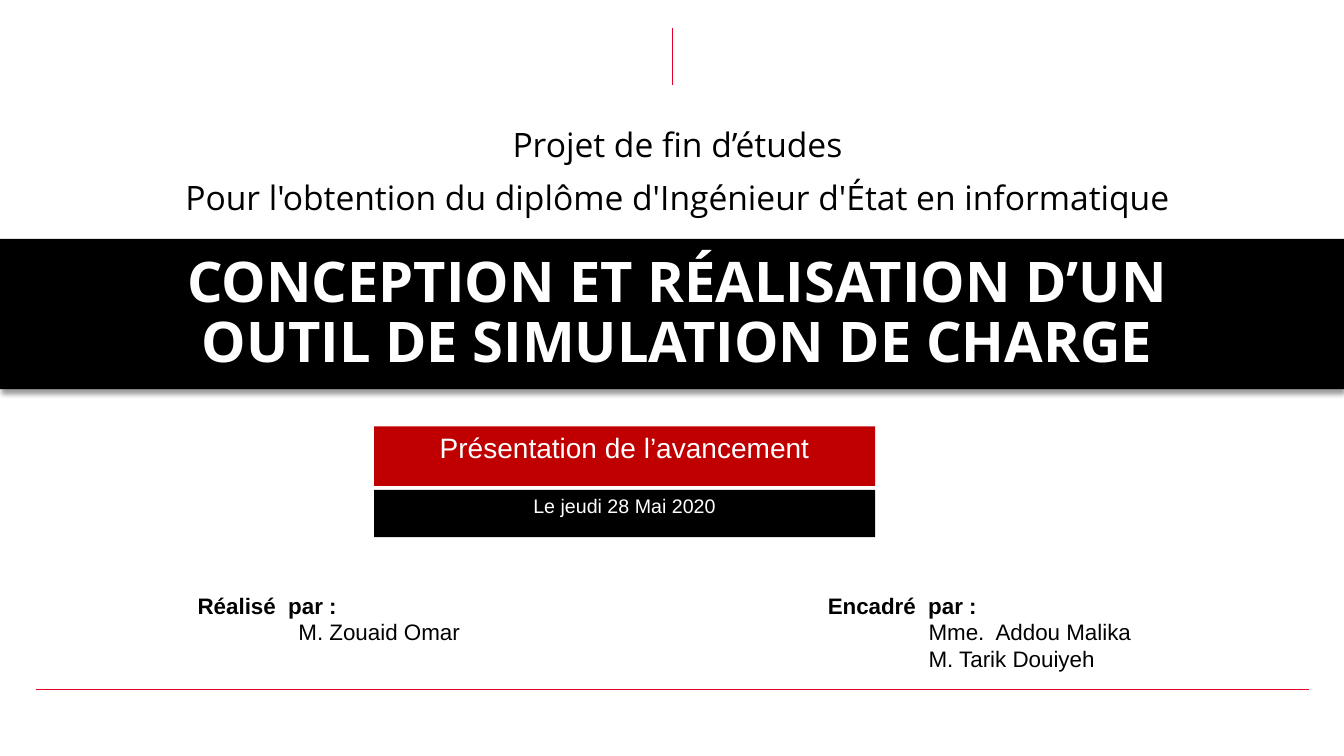
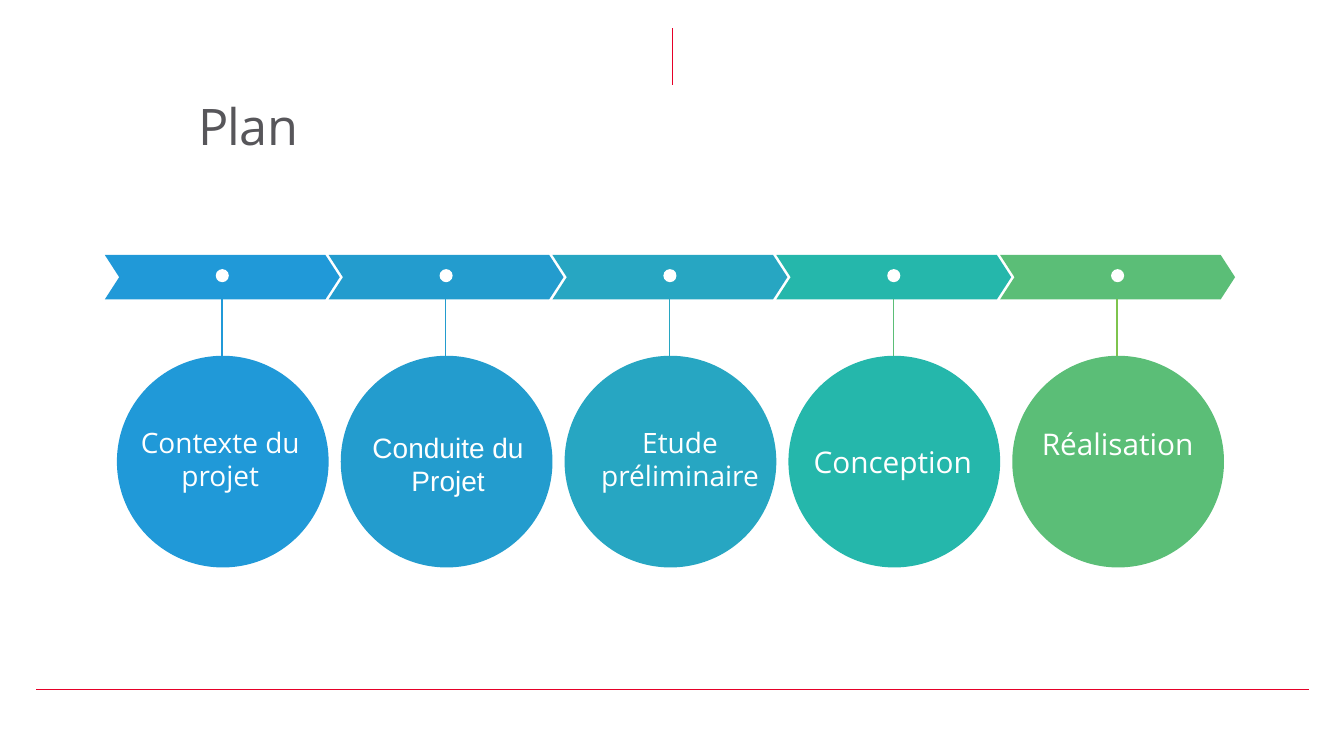
import dataclasses
import pptx
import pptx.dml.color
import pptx.enum.shapes
import pptx.enum.text
import pptx.oxml
import pptx.util
from pptx.util import Inches

SHAPE = pptx.enum.shapes.MSO_SHAPE
ALIGN = pptx.enum.text.PP_ALIGN
ANCHOR = pptx.enum.text.MSO_ANCHOR
NAMESPACE = 'xmlns:a="http://schemas.openxmlformats.org/drawingml/2006/main"'


@dataclasses.dataclass(frozen=True)
class Theme:
    """Colours, fonts and type sizes shared by the slides."""
    accent: str = "E60028"
    red: str = "C00000"
    black: str = "000000"
    white: str = "FFFFFF"
    grey: str = "57565A"
    blue: str = "2099D8"
    azure: str = "239CCE"
    lagoon: str = "27A6C2"
    teal: str = "25B7AB"
    green: str = "5BBE77"
    lime: str = "7EC44E"
    display: str = "Open Sans"
    plain: str = "Arial"
    cover: float = 40
    heading: float = 36
    intro: float = 24
    label_large: float = 21.3
    label: float = 20
    names: float = 16
    date: float = 14


@dataclasses.dataclass(frozen=True)
class Step:
    """One step of the plan, with its label offset from the step's corner."""
    text: str
    fill: str
    stem: str
    font: str
    size: float
    shift: float
    drop: float


THEME = Theme()
STEPS = (
    Step("Contexte du projet", THEME.blue, THEME.blue, THEME.display, THEME.label, 0.06, 1.64),
    Step("Conduite du Projet", THEME.azure, THEME.azure, THEME.plain, THEME.label, 0.1, 1.69),
    Step("Etude préliminaire", THEME.lagoon, THEME.lagoon, THEME.display, THEME.label, 0.18, 1.64),
    Step("Conception", THEME.teal, THEME.green, THEME.display, THEME.label_large, 0.07, 1.82),
    Step("Réalisation", THEME.green, THEME.lime, THEME.display, THEME.label_large, 0.08, 1.64),
)


def rgb(value):
    """Turn a hex string into a colour."""
    return pptx.dml.color.RGBColor.from_string(value)


def place(item, box):
    """Move an object to a box given in inches."""
    item.left, item.top, item.width, item.height = map(Inches, box)


def write(item, text, font, size, colour, align=ALIGN.CENTER, anchor=ANCHOR.TOP,
          inset=(0.1, 0.05), bold=False):
    """Fill an object with uniformly formatted text and return its frame."""
    frame = item.text_frame
    frame.text = text
    frame.word_wrap = True
    frame.auto_size = pptx.enum.text.MSO_AUTO_SIZE.NONE
    frame.vertical_anchor = anchor
    frame.margin_left = frame.margin_right = Inches(inset[0])
    frame.margin_top = frame.margin_bottom = Inches(inset[1])
    for para in frame.paragraphs:
        para.alignment = align
        para.space_before = pptx.util.Pt(0)
        for span in para.runs:
            span.font.name = font
            span.font.size = pptx.util.Pt(size)
            span.font.bold = bold
            span.font.color.rgb = rgb(colour)
    return frame


def add_solid(page, kind, box, fill):
    """Add a filled shape without outline or shadow."""
    shape = page.shapes.add_shape(kind, *map(Inches, box))
    shape.shadow.inherit = False
    shape.fill.solid()
    shape.fill.fore_color.rgb = rgb(fill)
    shape.line.fill.background()
    return shape


def add_line(page, start, end, colour, width):
    """Add a straight line without shadow."""
    line = page.shapes.add_connector(
        pptx.enum.shapes.MSO_CONNECTOR.STRAIGHT, *map(Inches, start + end))
    line.line.color.rgb = rgb(colour)
    line.line.width = pptx.util.Pt(width)
    line.element.spPr.append(pptx.oxml.parse_xml(f"<a:effectLst {NAMESPACE}/>"))
    return line


def add_master_rules(deck, page):
    """Draw the accent rules and hand them to the slide master."""
    for start, end, width in (((6.67, 0.28), (6.67, 0.84), 1),
                              ((0.36, 6.84), (12.98, 6.84), 0.5)):
        rule = add_line(page, start, end, THEME.accent, width)
        deck.slide_master.shapes.element.append(rule.element)


def add_band(page, box):
    """Add the black band with its soft shadow below."""
    band = add_solid(page, SHAPE.RECTANGLE, box, THEME.black)
    properties = band.element.spPr
    properties.remove(properties.find(pptx.oxml.ns.qn("a:effectLst")))
    properties.append(pptx.oxml.parse_xml(
        f'<a:effectLst {NAMESPACE}><a:outerShdw blurRad="50800" dist="38100" dir="5400000" '
        f'rotWithShape="0"><a:srgbClr val="{THEME.black}"><a:alpha val="40000"/>'
        '</a:srgbClr></a:outerShdw></a:effectLst>'))
    page.shapes.element.insert(2, band.element)


def add_progress(page, box):
    """Add the red caption and the black date below it."""
    left, top, width, height = box
    for text, offset, part, fill, size in (
            ("Présentation de l’avancement", 0, 0.59, THEME.red, THEME.label),
            ("Le jeudi 28 Mai 2020", 0.63, height - 0.63, THEME.black, THEME.date)):
        bar = add_solid(page, SHAPE.RECTANGLE, (left, top + offset, width, part), fill)
        write(bar, text, THEME.plain, size, THEME.white, inset=(0.04, 0.04))


def add_people(page, box, role, people):
    """Add a bold role with indented names under it."""
    area = page.shapes.add_textbox(*map(Inches, box))
    frame = write(area, "\n".join((role, *people)), THEME.plain, THEME.names, THEME.black,
                  align=ALIGN.LEFT, inset=(0.04, 0.04))
    frame.paragraphs[0].runs[0].font.bold = True
    for para in frame.paragraphs[1:]:
        para._p.get_or_add_pPr().set("marL", str(Inches(1)))


def add_step(page, box, step):
    """Add one step: chevron, dot, stem, circle and label."""
    left, top, width, height = box
    middle = left + 1.16
    chevron = add_solid(page, SHAPE.CHEVRON, (left, top, width, 0.44), step.fill)
    chevron.adjustments[0] = 0.323
    add_solid(page, SHAPE.OVAL, (left + 1.1, top + 0.14, 0.13, 0.13), THEME.white)
    add_solid(page, SHAPE.OVAL, (left + 0.12, top + 1, 2.1, height - 1), step.fill)
    add_line(page, (middle, top + 0.44), (middle, top + 1), step.stem, 1)
    label = page.shapes.add_textbox(
        *map(Inches, (left + step.shift, top + step.drop, 2.17, 0.77)))
    write(label, step.text, step.font, step.size, THEME.white)


def build_cover(deck):
    """Build the cover slide."""
    page = deck.slides.add_slide(deck.slide_layouts[0])
    add_master_rules(deck, page)
    add_band(page, (0, 2.37, 13.33, 1.49))
    title, intro = page.placeholders
    place(title, (0.74, 2.22, 11.95, 1.62))
    frame = write(title, "CONCEPTION ET RÉALISATION D’UN OUTIL DE SIMULATION DE CHARGE",
                  THEME.display, THEME.cover, THEME.white, anchor=ANCHOR.BOTTOM,
                  inset=(0.27, 0.13), bold=True)
    frame.paragraphs[0].line_spacing = 0.88
    place(intro, (1.72, 1.15, 10, 1.09))
    frame = write(intro, "Projet de fin d’études\n"
                  "Pour l'obtention du diplôme d'Ingénieur d'État en informatique",
                  THEME.display, THEME.intro, THEME.black, anchor=ANCHOR.MIDDLE)
    frame.paragraphs[0].space_after = pptx.util.Pt(9)
    add_progress(page, (3.71, 4.23, 4.97, 1.1))
    add_people(page, (1.92, 5.83, 2.81, 0.69), "Réalisé  par :", ("M. Zouaid Omar",))
    add_people(page, (8.17, 5.83, 3.24, 1.01), "Encadré  par :",
               ("Mme.  Addou Malika", "M. Tarik Douiyeh"))


def build_plan(deck):
    """Build the plan slide."""
    page = deck.slides.add_slide(deck.slide_layouts[5])
    title = page.shapes.title
    place(title, (0.46, 0.84, 4, 0.89))
    frame = write(title, "Plan", THEME.display, THEME.heading, THEME.grey,
                  anchor=ANCHOR.MIDDLE, inset=(0, 0))
    para = frame.paragraphs[0]
    para.line_spacing = 0.86
    para.runs[0].font._element.set("spc", "-50")
    for index, step in enumerate(STEPS):
        add_step(page, (1.04 + 2.22 * index, 2.53, 2.33, 3.1), step)


def main():
    """Build and save the deck."""
    deck = pptx.Presentation()
    deck.slide_width, deck.slide_height = Inches(13.33), Inches(7.5)
    build_cover(deck)
    build_plan(deck)
    deck.save("out.pptx")


if __name__ == "__main__":
    main()
